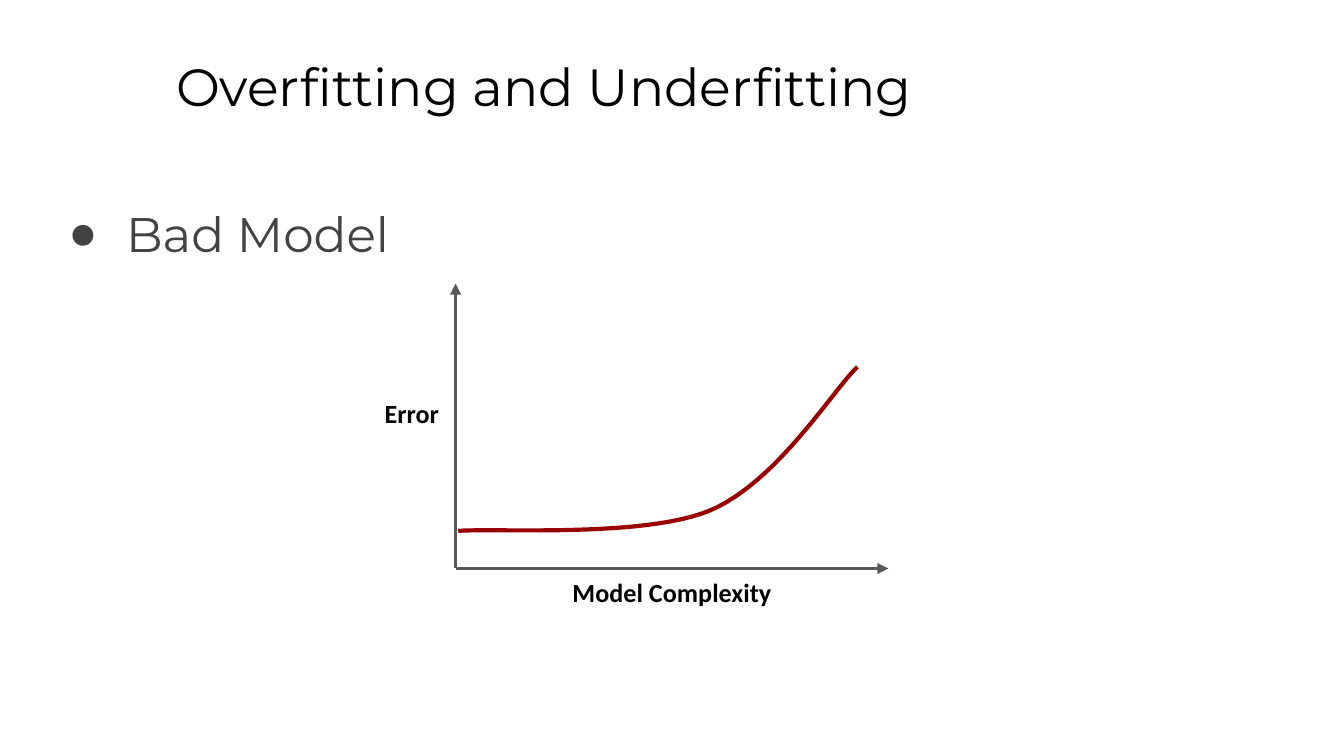
"""Build a slide on overfitting and underfitting with an error curve."""
from lxml.etree import SubElement
from pptx import Presentation
from pptx.dml.color import RGBColor
from pptx.enum.shapes import MSO_CONNECTOR
from pptx.enum.text import MSO_ANCHOR, MSO_AUTO_SIZE, PP_ALIGN
from pptx.oxml.ns import qn
from pptx.util import Inches, Pt


def rgb(color):
    return RGBColor.from_string(color)


def write(box, text, font, size, color="000000", bold=False, align=PP_ALIGN.LEFT):
    frame = box.text_frame
    frame.word_wrap = True
    frame.auto_size = MSO_AUTO_SIZE.NONE
    frame.vertical_anchor = MSO_ANCHOR.TOP
    frame.margin_left = frame.margin_right = Inches(0.1)
    frame.margin_top = frame.margin_bottom = Inches(0.1)
    paragraph = frame.paragraphs[0]
    paragraph.text = text
    paragraph.alignment = align
    paragraph.font.name = font
    paragraph.font.size = Pt(size)
    paragraph.font.bold = bold
    paragraph.font.color.rgb = rgb(color)


prs = Presentation()
prs.slide_width, prs.slide_height = Inches(10), Inches(10) * 9 // 16
slide = prs.slides.add_slide(prs.slide_layouts[5])
shapes = slide.shapes

title = shapes.title
title.left, title.top = Inches(1.21), Inches(0.3)
title.width, title.height = Inches(9.32), Inches(0.66)
write(title, "Overfitting and Underfitting", "Montserrat", 28)

topic = shapes.add_textbox(Inches(0.34), Inches(1.35), Inches(9.32), Inches(3.65))
bullet = topic.text_frame.paragraphs[0]
bullet.line_spacing = 1.15
bullet_format = bullet._p.get_or_add_pPr()
bullet_format.set("marL", str(Inches(0.5)))
bullet_format.set("indent", str(Inches(-0.43)))
bullet_color = SubElement(bullet_format, qn("a:buClr"))
SubElement(bullet_color, qn("a:srgbClr"), val="434343")
SubElement(bullet_format, qn("a:buFont"), typeface="Arial")
SubElement(bullet_format, qn("a:buChar"), char="●")
write(topic, "Bad Model", "Montserrat", 26, "434343")

origin_x, origin_y = 3.39, 4.23
for tip_x, tip_y in [(origin_x, 2.11), (6.61, origin_y)]:
    axis = shapes.add_connector(
        MSO_CONNECTOR.STRAIGHT,
        Inches(origin_x), Inches(origin_y), Inches(tip_x), Inches(tip_y),
    )
    axis.line.color.rgb = rgb("595959")
    axis.line.width = Pt(1.5)
    SubElement(axis.line._get_or_add_ln(), qn("a:tailEnd"), type="triangle")
    SubElement(axis._element.spPr, qn("a:effectLst"))

for label, left, top, width in [
    ("Error", 2.71, 2.86, 0.71),
    ("Model Complexity", 3.89, 4.19, 2.22),
]:
    axis_label = shapes.add_textbox(Inches(left), Inches(top), Inches(width), Inches(0.49))
    write(axis_label, label, "Calibri", 14, bold=True, align=PP_ALIGN.CENTER)

bezier_segments = [
    [(3.41, 3.95), (3.72, 3.93), (4.79, 4), (5.28, 3.8)],
    [(5.28, 3.8), (5.78, 3.59), (6.2, 2.9), (6.38, 2.73)],
]
steps = 24
curve_points = []
for segment in bezier_segments:
    for step in range(1, steps + 1):
        t = step / steps
        weights = [(1 - t) ** 3, 3 * t * (1 - t) ** 2, 3 * t**2 * (1 - t), t**3]
        curve_points.append(tuple(
            Inches(sum(w * value for w, value in zip(weights, values)))
            for values in zip(*segment)
        ))

start_x, start_y = bezier_segments[0][0]
builder = shapes.build_freeform(Inches(start_x), Inches(start_y))
builder.add_line_segments(curve_points, close=False)
error_curve = builder.convert_to_shape()
error_curve.shadow.inherit = False
error_curve.fill.background()
error_curve.line.color.rgb = rgb("990000")
error_curve.line.width = Pt(2.25)

prs.save("out.pptx")
